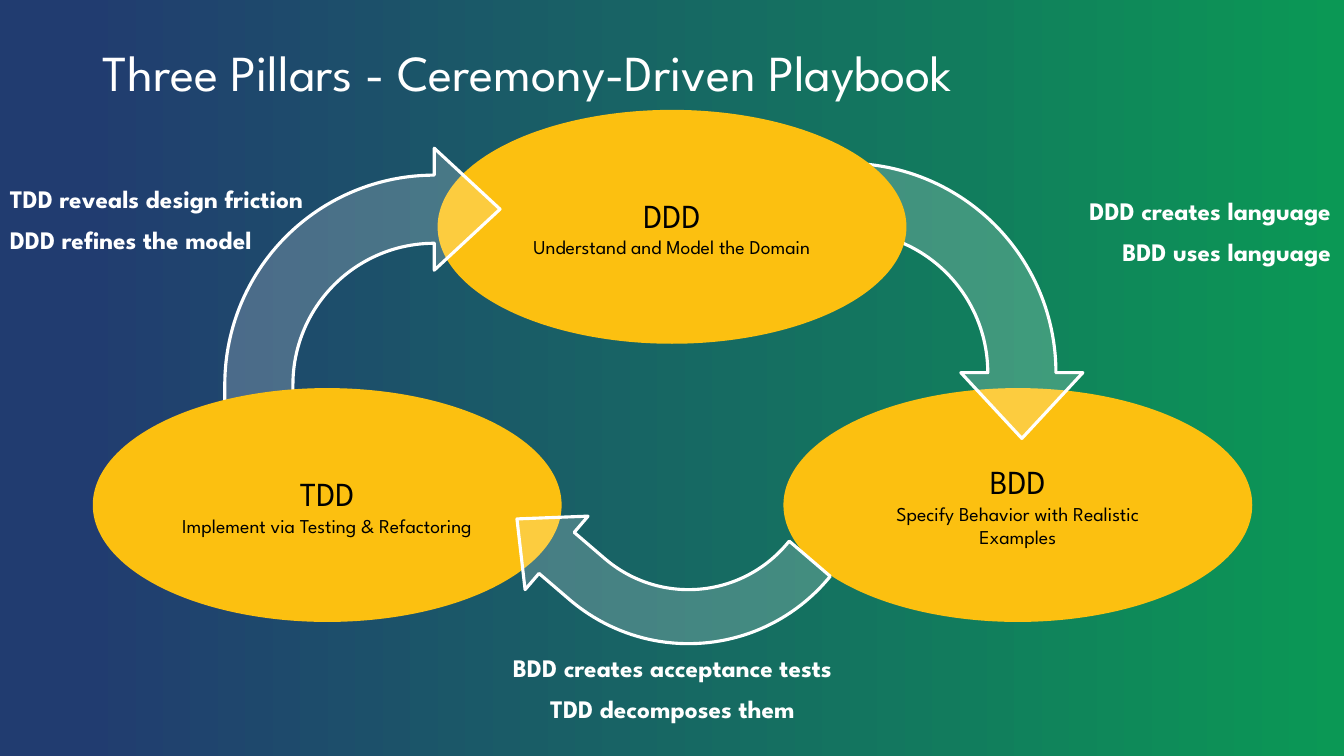
from lxml.etree import SubElement
from pptx import Presentation
from pptx.dml.color import RGBColor
from pptx.enum.shapes import MSO_SHAPE
from pptx.enum.text import MSO_ANCHOR, PP_ALIGN
from pptx.oxml.ns import qn
from pptx.util import Inches, Pt

NAVY = RGBColor(0x21, 0x3C, 0x70)
GREEN = RGBColor(0x0B, 0x98, 0x55)
GOLD = RGBColor(0xFC, 0xC0, 0x10)
WHITE = RGBColor(0xFF, 0xFF, 0xFF)
BLACK = RGBColor(0x00, 0x00, 0x00)


class PlaybookPage:
    """Holds the style and the current slide."""

    font_name = "League Spartan"
    pillar_size = (4.65, 2.32)
    bend = (0.259, 0.232, 0.25, 0.875)

    def __init__(self, deck):
        self.page = deck.slides.add_slide(deck.slide_layouts[6])

    def background(self, start, end):
        fill = self.page.background.fill
        fill.gradient()
        fill.gradient_angle = 0
        for stop, position, color in zip(fill.gradient_stops, (0.06, 1), (start, end)):
            stop.position = position
            stop.color.rgb = color

    def set_text(self, box, lines, sizes, color, align, spacing=None, bold=False, inset=0.1):
        frame = box.text_frame
        layout = {"word_wrap": True, "vertical_anchor": MSO_ANCHOR.MIDDLE,
                  "margin_left": Inches(0.1), "margin_right": Inches(0.1),
                  "margin_top": Inches(inset), "margin_bottom": Inches(inset)}
        for name, value in layout.items():
            setattr(frame, name, value)
        for index, (line, size) in enumerate(zip(lines, sizes)):
            para = frame.add_paragraph() if index else frame.paragraphs[0]
            para.alignment = align
            para.line_spacing = spacing
            span = para.add_run()
            span.text = line
            style = {"name": self.font_name, "size": Pt(size), "bold": bold}
            for name, value in style.items():
                setattr(span.font, name, value)
            span.font.color.rgb = color

    def text(self, area, lines, size, align, **style):
        box = self.page.shapes.add_textbox(*map(Inches, area))
        self.set_text(box, lines, [size] * len(lines), WHITE, align, **style)

    def label(self, area, lines, align):
        self.text(area, lines, 18, align, spacing=1.36, bold=True)

    def shape(self, kind, area, color):
        shape = self.page.shapes.add_shape(kind, *map(Inches, area))
        shape.shadow.inherit = False
        shape.fill.solid()
        shape.fill.fore_color.rgb = color
        return shape

    def pillar(self, left, top, name, purpose):
        oval = self.shape(MSO_SHAPE.OVAL, (left, top, *self.pillar_size), GOLD)
        oval.line.fill.background()
        self.set_text(oval, (name, purpose), (24, 14), BLACK, PP_ALIGN.CENTER)

    def arrow(self, area, rotation):
        arrow = self.shape(MSO_SHAPE.BENT_ARROW, area, WHITE)
        arrow.rotation = rotation
        for index, value in enumerate(self.bend):
            arrow.adjustments[index] = value
        arrow.line.color.rgb = WHITE
        arrow.line.width = Pt(2.25)
        # 20 % opaque fill
        tint = arrow._element.spPr.find(qn("a:solidFill"))[0]
        SubElement(tint, qn("a:alpha")).set("val", "20000")


def main():
    deck = Presentation()
    deck.slide_width, deck.slide_height = Inches(13.33), Inches(7.5)
    playbook = PlaybookPage(deck)

    # Background and title
    playbook.background(NAVY, GREEN)
    playbook.text((0.92, 0.4, 11.5, 0.7), ["Three Pillars - Ceremony-Driven Playbook"],
                  36, PP_ALIGN.LEFT, spacing=0.9, inset=0.05)

    # Cycle of pillars and arrows, from back to front
    playbook.pillar(7.77, 3.85, "BDD", "Specify Behavior with Realistic Examples")
    playbook.arrow((8.07, 1.68, 2.73, 2.61), 90)
    playbook.pillar(4.34, 1.09, "DDD", "Understand and Model the Domain")
    playbook.arrow((2.23, 1.47, 2.73, 2.61), 0)
    playbook.pillar(0.92, 3.85, "TDD", "Implement via Testing & Refactoring")
    playbook.arrow((5.16, 4.58, 2.73, 2.07), 220.6)

    # What each step hands to the next
    playbook.label((9.74, 1.63, 3.56, 1.22),
                   ("DDD creates language", "BDD uses language"), PP_ALIGN.RIGHT)
    playbook.label((4.54, 6.16, 4.26, 1.22),
                   ("BDD creates acceptance tests", "TDD decomposes them"), PP_ALIGN.CENTER)
    playbook.label((0, 1.51, 3.56, 1.22),
                   ("TDD reveals design friction", "DDD refines the model"), PP_ALIGN.LEFT)

    deck.save("out.pptx")


if __name__ == "__main__":
    main()
